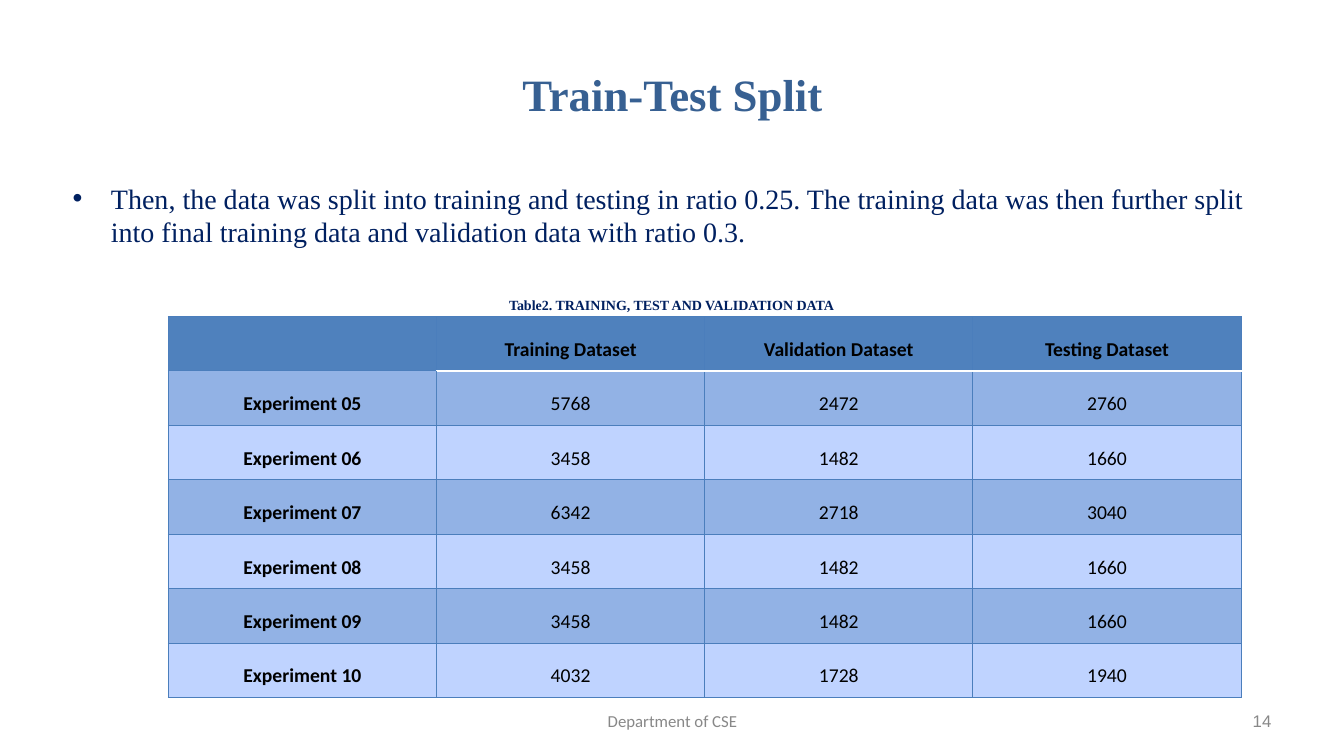
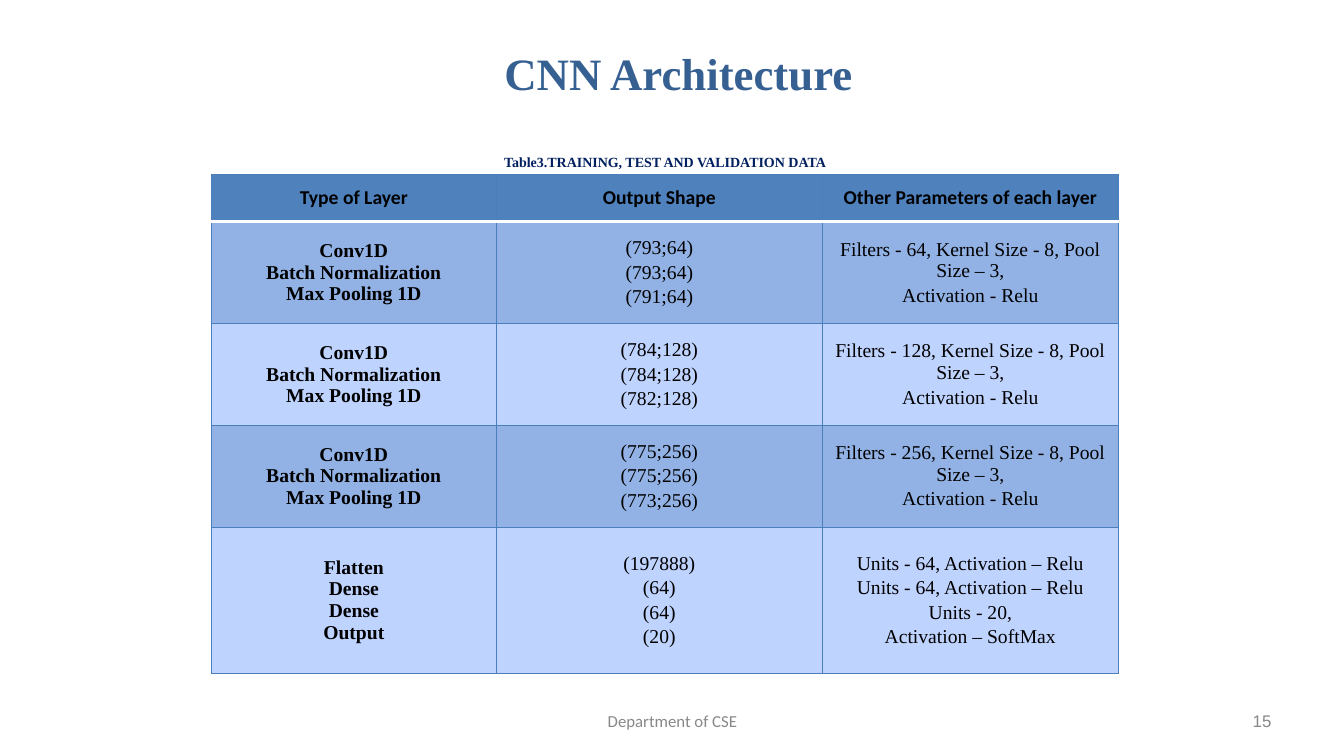
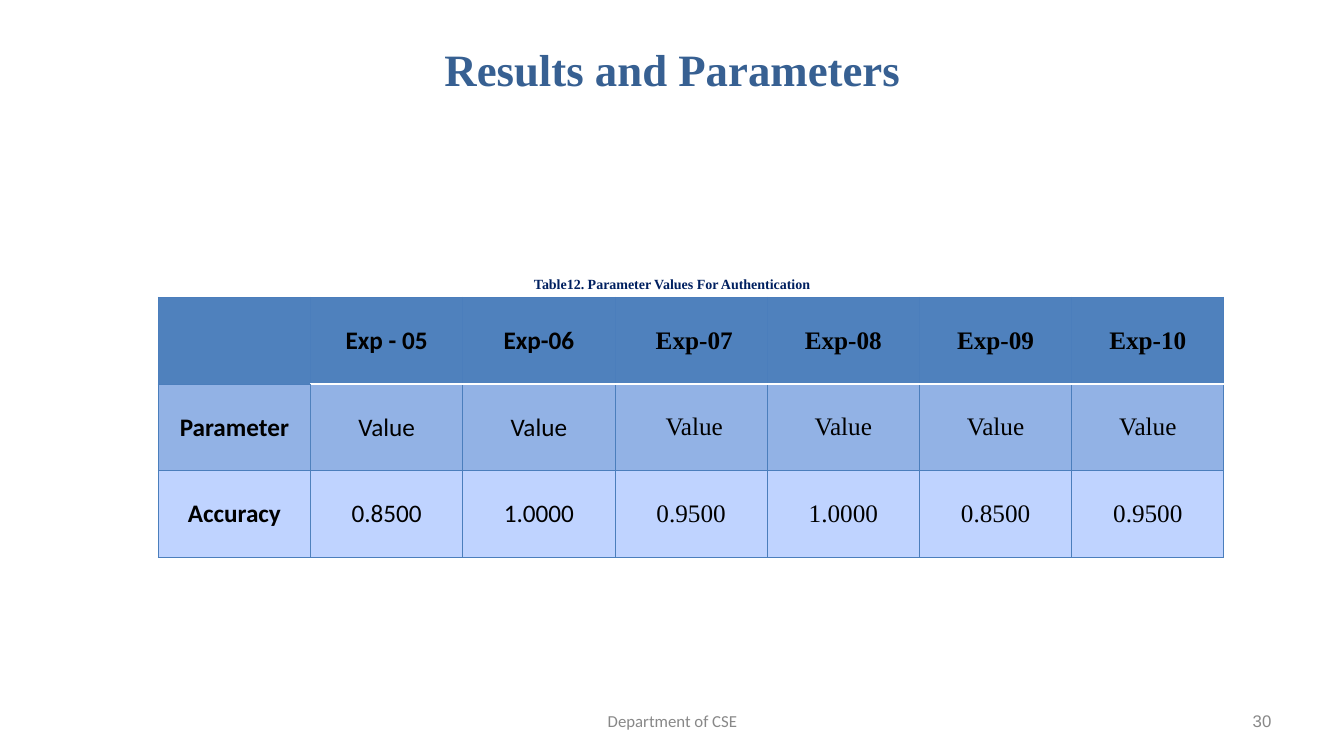
from pptx import Presentation
from pptx.util import Inches, Pt
from pptx.dml.color import RGBColor
from pptx.enum.text import PP_ALIGN, MSO_ANCHOR
from pptx.oxml.ns import qn
from lxml.etree import SubElement

HUES = {"title": "376092", "navy": "002060", "gray": "888888", "black": "000000",
        "head": "4F81BD", "dark": "92B2E5", "light": "BFD3FF",
        "edge": "4B7EBC", "white": "FFFFFF"}
SERIF, SANS, ARIAL = "Times New Roman", "Calibri", "Arial"
FOOT = "Department of CSE"
CONV = "Conv1D\nBatch Normalization\nMax Pooling 1D"
KERNEL = "Filters - {}, Kernel Size - 8, Pool Size – 3,\nActivation - Relu"

SLIDES = [
    {"page": "14", "title": "Train-Test Split", "head": (0.67, 0.3, 12, 1.25),
     "body": "Then, the data was split into training and testing in ratio 0.25. "
             "The training data was then further split into final training data "
             "and validation data with ratio 0.3.",
     "label": "Table2. TRAINING, TEST AND VALIDATION DATA",
     "spot": (2.86, 2.89, 7.6, 0.25),
     "at": (1.67, 3.14), "cols": [2.66] * 4, "rows": [0.54] * 7,
     "size": 14, "pad": 0, "lead": 1.5, "stub": True, "serif": (7, 4),
     "cells": [
         ("", "Training Dataset", "Validation Dataset", "Testing Dataset"),
         ("Experiment 05", "5768", "2472", "2760"),
         ("Experiment 06", "3458", "1482", "1660"),
         ("Experiment 07", "6342", "2718", "3040"),
         ("Experiment 08", "3458", "1482", "1660"),
         ("Experiment 09", "3458", "1482", "1660"),
         ("Experiment 10", "4032", "1728", "1940")]},
    {"page": "15", "title": "CNN Architecture", "head": (0.73, 0.3, 12, 0.84),
     "label": "Table3.TRAINING, TEST AND VALIDATION DATA",
     "spot": (3.31, 1.47, 6.57, 0.25),
     "at": (2.1, 1.73), "cols": [2.82, 3.24, 2.93],
     "rows": [0.47, 1.01, 1.01, 1.01, 1.45],
     "size": 14, "pad": 0.05, "lead": 1.0, "stub": False, "serif": (1, 0),
     "cells": [
         ("Type of Layer", "Output Shape", "Other Parameters of each layer"),
         (CONV, "(793;64)\n(793;64)\n(791;64)", KERNEL.format(64)),
         (CONV, "(784;128)\n(784;128)\n(782;128)", KERNEL.format(128)),
         (CONV, "(775;256)\n(775;256)\n(773;256)", KERNEL.format(256)),
         ("Flatten\nDense\nDense\nOutput", "(197888)\n(64)\n(64)\n(20)",
          "Units - 64, Activation – Relu\nUnits - 64, Activation – Relu\n"
          "Units - 20,\nActivation – SoftMax")]},
    {"page": "30", "title": "Results and Parameters", "head": (0.67, 0.26, 12, 0.84),
     "label": "Table12. Parameter Values For Authentication",
     "spot": (3.38, 2.68, 6.57, 0.25),
     "at": (1.57, 2.95), "cols": [1.51] * 7, "rows": [0.86] * 3,
     "size": 18, "pad": 0, "lead": 1.0, "stub": True, "serif": (0, 3),
     "cells": [
         ("", "Exp - 05", "Exp-06", "\u00a0Exp-07", "Exp-08", "Exp-09", "Exp-10"),
         ("Parameter", "Value", "Value", "\u00a0Value", "Value", "Value", "Value"),
         ("Accuracy", "0.8500", "1.0000", "0.9500", "1.0000", "0.8500", "0.9500")]},
]


def style(para, size, face, hue, bold=False, align=PP_ALIGN.CENTER):
    para.alignment = align
    for run in para.runs:
        font = run.font
        font.size, font.name, font.bold = Pt(size), face, bold
        font.color.rgb = RGBColor.from_string(HUES[hue])


def write(slide, box, text, *look, anchor=MSO_ANCHOR.TOP, **more):
    frame = slide.shapes.add_textbox(*map(Inches, box)).text_frame
    frame.word_wrap = True
    frame.vertical_anchor = anchor
    frame.margin_left = frame.margin_right = Inches(0.05)
    frame.margin_top = frame.margin_bottom = Inches(0.05)
    frame.text = text
    para = frame.paragraphs[0]
    style(para, *look, **more)
    return para


def bullet(para):
    props = para._p.get_or_add_pPr()
    props.set("marL", str(Inches(0.38)))
    props.set("indent", str(-Inches(0.38)))
    SubElement(props, qn("a:buFont"), typeface=ARIAL)
    SubElement(props, qn("a:buChar"), char="•")


def border(cell, side, hue, width):
    line = SubElement(cell._tc.get_or_add_tcPr(), qn("a:ln" + side), w=str(Pt(width)))
    SubElement(SubElement(line, qn("a:solidFill")), qn("a:srgbClr"), val=HUES[hue])


def edges(cell, row, col, stub):
    thin, rule, bar = ("edge", 0.75), ("white", 2), ("head", 1.5)
    split = stub and row > 0
    under = thin if stub and col == 0 else rule
    border(cell, "L", *(bar if split and col == 1 else thin))
    border(cell, "R", *(bar if split and col == 0 else thin))
    border(cell, "T", *(under if row == 1 else thin))
    border(cell, "B", *(under if row == 0 else thin))


def grid(slide, data):
    rows, cols = data["rows"], data["cols"]
    place = map(Inches, (*data["at"], sum(cols), sum(rows)))
    table = slide.shapes.add_table(len(rows), len(cols), *place).table
    table.first_row = table.horz_banding = False
    for part, width in zip(table.columns, cols):
        part.width = Inches(width)
    for part, height in zip(table.rows, rows):
        part.height = Inches(height)
    top, left = data["serif"]
    for row, texts in enumerate(data["cells"]):
        fill = "head" if row == 0 else "dark" if row % 2 else "light"
        for col, text in enumerate(texts):
            cell = table.cell(row, col)
            edges(cell, row, col, data["stub"])
            cell.fill.solid()
            cell.fill.fore_color.rgb = RGBColor.from_string(HUES[fill])
            cell.vertical_anchor = MSO_ANCHOR.MIDDLE
            cell.margin_left = cell.margin_right = Inches(data["pad"])
            cell.margin_top = cell.margin_bottom = Inches(data["pad"])
            cell.text = text
            face = SERIF if row >= top and col >= left else SANS
            for para in cell.text_frame.paragraphs:
                style(para, data["size"], face, "black", row == 0 or col == 0)
                para.line_spacing = data["lead"]
                para.space_before = Pt(2 if "\n" in text and col else 0)


deck = Presentation()
deck.slide_width, deck.slide_height = Inches(13.33), Inches(7.5)
for data in SLIDES:
    slide = deck.slides.add_slide(deck.slide_layouts[6])
    write(slide, data["head"], data["title"], 32, SERIF, "title", True,
          anchor=MSO_ANCHOR.MIDDLE)
    if "body" in data:
        bullet(write(slide, (0.67, 1.75, 12.18, 0.9), data["body"], 20, SERIF, "navy",
                     align=PP_ALIGN.LEFT))
    grid(slide, data)
    write(slide, data["spot"], data["label"], 10, SERIF, "navy", True)
    write(slide, (4.61, 7.02, 4.12, 0.27), FOOT, 12, SANS, "gray",
          anchor=MSO_ANCHOR.MIDDLE)
    write(slide, (12.26, 7.02, 0.4, 0.27), data["page"], 12, ARIAL, "gray",
          anchor=MSO_ANCHOR.MIDDLE, align=PP_ALIGN.RIGHT)
deck.save("out.pptx")
